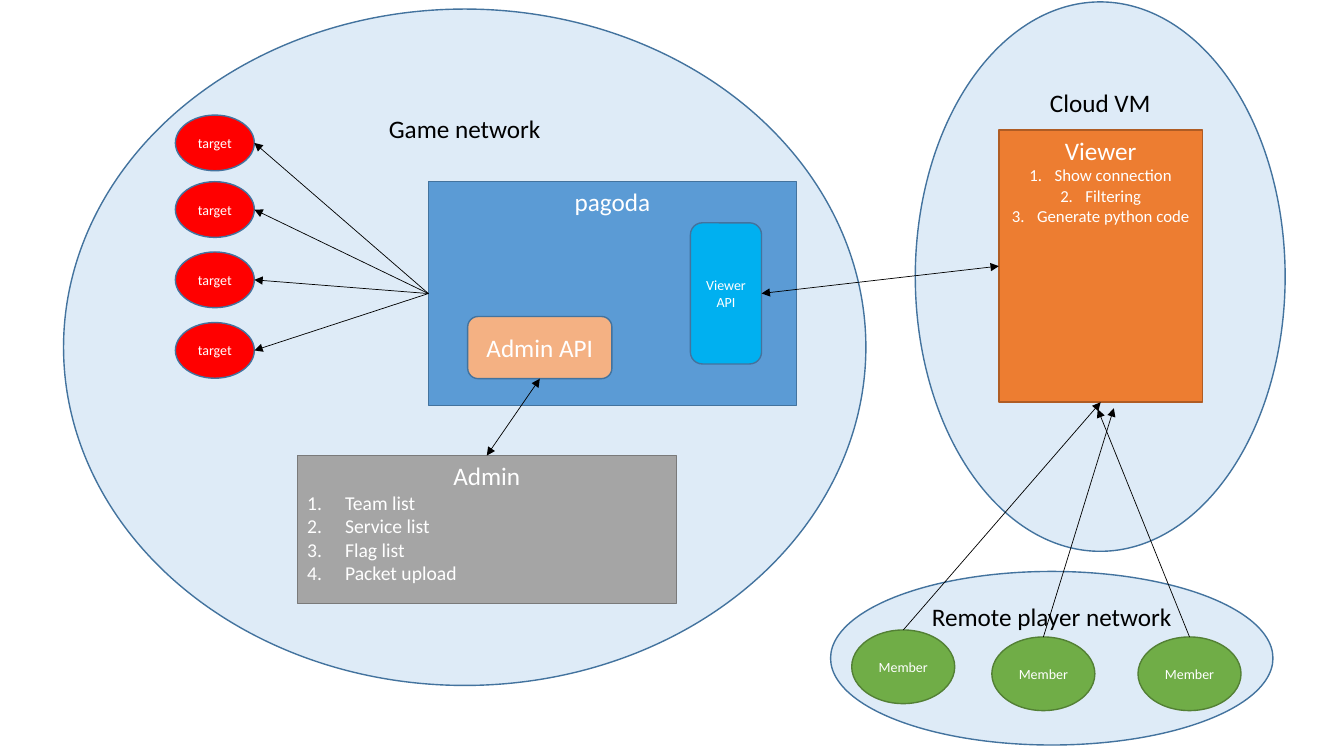
from lxml import etree
from pptx import Presentation
from pptx.dml.color import RGBColor
from pptx.enum.shapes import MSO_CONNECTOR, MSO_SHAPE
from pptx.enum.text import MSO_ANCHOR, PP_ALIGN
from pptx.oxml.ns import qn
from pptx.util import Pt

OVAL, RECT, ROUND = MSO_SHAPE.OVAL, MSO_SHAPE.RECTANGLE, MSO_SHAPE.ROUNDED_RECTANGLE
STRAIGHT = MSO_CONNECTOR.STRAIGHT
TOP, MIDDLE = MSO_ANCHOR.TOP, MSO_ANCHOR.MIDDLE
LEFT, CENTER = PP_ALIGN.LEFT, PP_ALIGN.CENTER
SIDE_TOP, SIDE_LEFT, SIDE_BOTTOM, SIDE_RIGHT = range(4)
COLORS = {
    "network": "DEEBF7", "outline": "43739E", "server": "5B9BD5",
    "viewer": "ED7D31", "viewer_line": "AF5C24",
    "admin": "A5A5A5", "admin_line": "7A7A7A",
    "admin_api": "F4B183", "viewer_api": "00B0F0",
    "member": "70AD47", "member_line": "538035",
    "target": "FF0000", "black": "000000", "white": "FFFFFF",
}

deck = Presentation()
deck.slide_width, deck.slide_height = Pt(960), Pt(540)
page = deck.slides.add_slide(deck.slide_layouts[6])


def add_box(kind, area, text, fill, line="outline", color="white", size=18,
            anchor=TOP, items=(), item_size=12, item_align=CENTER, indent=18):
    box = page.shapes.add_shape(kind, *[Pt(value) for value in area])
    box.shadow.inherit = False
    box.fill.solid()
    box.fill.fore_color.rgb = RGBColor.from_string(COLORS[fill])
    box.line.color.rgb = RGBColor.from_string(COLORS[line])
    box.line.width = Pt(1)
    frame = box.text_frame
    frame.word_wrap = True
    frame.vertical_anchor = anchor
    for index, words in enumerate([text, *items]):
        para = frame.add_paragraph() if index else frame.paragraphs[0]
        para.alignment = item_align if index else CENTER
        if index:
            props = para._p.get_or_add_pPr()
            props.set("marL", str(Pt(indent)))
            props.set("indent", str(-Pt(indent)))
            etree.SubElement(props, qn("a:buAutoNum"), type="arabicPeriod")
        span = para.add_run()
        span.text = words
        span.font.name = "Calibri"
        span.font.size = Pt(item_size if index else size)
        span.font.color.rgb = RGBColor.from_string(COLORS[color])
    return box


def add_arrow(start, end, both=False):
    points = [(0, 0) if len(place) == 2 and not isinstance(place[0], (int, float))
              else place for place in (start, end)]
    arrow = page.shapes.add_connector(
        STRAIGHT, *[Pt(value) for point in points for value in point])
    for place, point, join in zip((start, end), points,
                                  (arrow.begin_connect, arrow.end_connect)):
        if place is not point:
            join(*place)
    arrow.line.color.rgb = RGBColor.from_string(COLORS["black"])
    arrow.line.width = Pt(0.5)
    line = arrow.line._get_or_add_ln()
    if both:
        etree.SubElement(line, qn("a:headEnd"), type="triangle")
    etree.SubElement(line, qn("a:tailEnd"), type="triangle")
    etree.SubElement(arrow._element.spPr, qn("a:effectLst"))


for text, area in [
    ("Remote player network", (593.3, 408.2, 316, 124)),
    ("Cloud VM", (653.8, 1.4, 264.2, 392.4)),
    ("Game network", (45.4, 6.5, 573.1, 483.1)),
]:
    add_box(OVAL, area, text, "network", color="black")

server = add_box(RECT, (306, 129.8, 262.8, 159.8), "pagoda", "server")
viewer = add_box(RECT, (713.5, 92.9, 145.4, 194.4), "Viewer", "viewer", "viewer_line",
                 items=["Show connection", "Filtering", "Generate python code"])
admin = add_box(RECT, (212.4, 325.4, 270.7, 105.8), "Admin", "admin", "admin_line",
                items=["Team list", "Service list", "Flag list", "Packet upload"],
                item_size=14, item_align=LEFT, indent=27)
admin_api = add_box(ROUND, (334.1, 226.1, 103, 44.4), "Admin API", "admin_api",
                    anchor=MIDDLE)
viewer_api = add_box(ROUND, (493.2, 159.2, 50.8, 100.8), "Viewer API", "viewer_api",
                     size=10, anchor=MIDDLE)
add_arrow((admin_api, SIDE_BOTTOM), (admin, SIDE_TOP), both=True)
add_arrow((viewer_api, SIDE_RIGHT), (viewer, SIDE_LEFT), both=True)

for left, top, end in [
    (608.4, 450, (viewer, SIDE_BOTTOM)),
    (708.5, 455, (795.6, 291.6)),
    (812.9, 455, (784.1, 292.3)),
]:
    member = add_box(OVAL, (left, top, 73.6, 52.6), "Member", "member", "member_line",
                     size=10, anchor=MIDDLE)
    add_arrow((member, SIDE_TOP), end)

target_left, target_width, target_height = 125.3, 56.4, 39.8
for top in (82.2, 129.8, 180, 230.4):
    add_box(OVAL, (target_left, top, target_width, target_height), "target", "target",
            size=10, anchor=MIDDLE)
    add_arrow((server, SIDE_LEFT),
              (target_left + target_width, top + target_height / 2))

deck.save("out.pptx")
